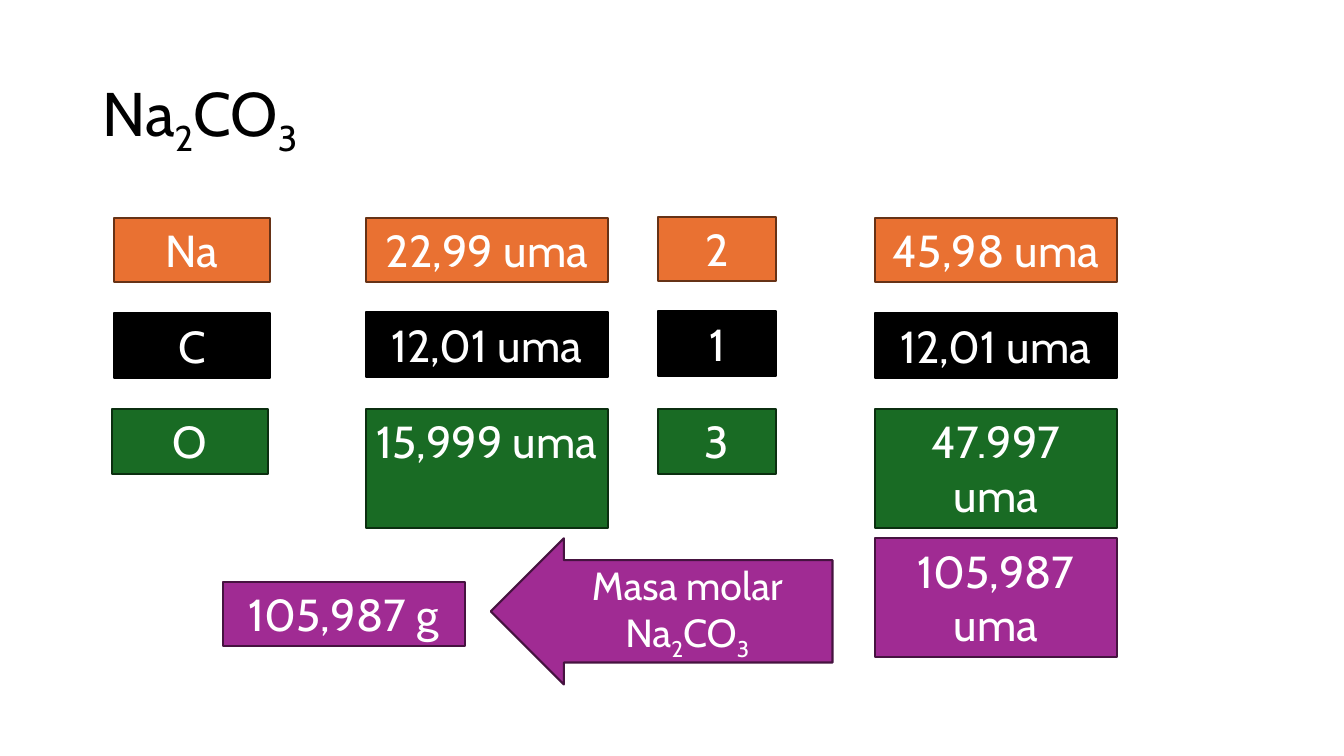
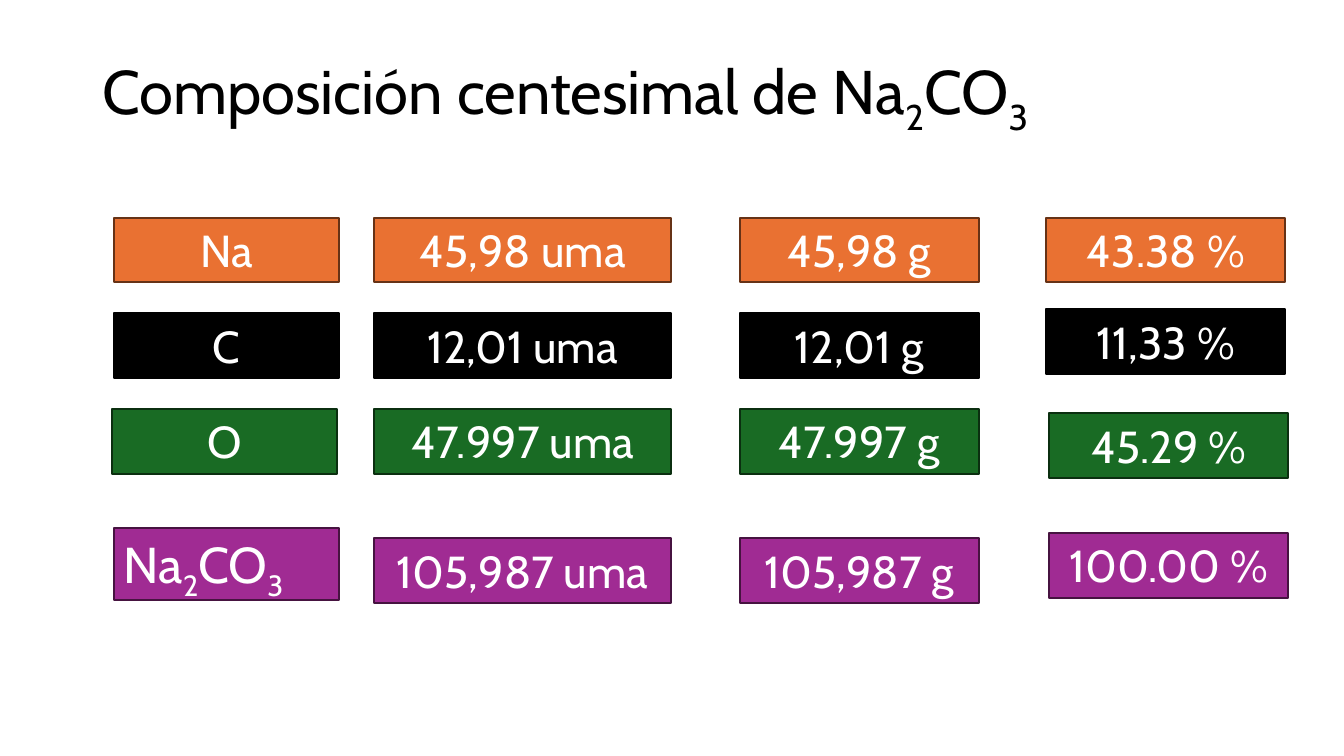
import pptx
import pptx.dml.color
import pptx.enum.shapes
import pptx.enum.text
import pptx.util

Pt = pptx.util.Pt
SHAPE = pptx.enum.shapes.MSO_SHAPE
ALIGN = pptx.enum.text.PP_ALIGN
ANCHOR = pptx.enum.text.MSO_ANCHOR
AUTO = pptx.enum.text.MSO_AUTO_SIZE


def rgb(hex_color):
    return pptx.dml.color.RGBColor.from_string(hex_color)


def write(tf, text, size=32, color="FFFFFF", align=ALIGN.CENTER,
          anchor=ANCHOR.TOP, spacing=None):
    """Write text into a frame; an underscore lowers the next character."""
    tf.word_wrap = True
    tf.vertical_anchor = anchor
    p = tf.paragraphs[0]
    p.alignment = align
    p.line_spacing = spacing
    first, *rest = text.split("_")
    pieces = [(first, False)]
    for part in rest:
        pieces += [(part[0], True), (part[1:], False)]
    for piece, lowered in pieces:
        if not piece:
            continue
        r = p.add_run()
        r.text = piece
        r.font.name = Deck.FONT
        r.font.size = Pt(size)
        r.font.color.rgb = rgb(color)
        if lowered:
            r.font._element.set("baseline", "-25000")


class Deck:
    FONT = "Cabin"
    ROW_H, TALL_H = 46.08, 84.8
    # Row: fill, outline, top
    ROWS = {
        "Na": ("E97132", "663216", 155.5),
        "C": ("000000", "000000", 223.9),
        "O": ("196B24", "0B2F10", 292.3),
        "total": ("A02B93", "461340", 384.5),
    }

    def __init__(self):
        self.prs = pptx.Presentation()
        self.prs.slide_width, self.prs.slide_height = Pt(960), Pt(540)
        self.s = None

    def slide(self, title, top):
        self.s = self.prs.slides.add_slide(self.prs.slide_layouts[6])
        sp = self.s.shapes.add_textbox(Pt(66), Pt(top), Pt(828), Pt(104.4))
        write(sp.text_frame, title, size=44, color="000000", align=ALIGN.LEFT,
              anchor=ANCHOR.MIDDLE, spacing=0.9)

    def shape(self, row, text, left, width, height=ROW_H, dx=0, dy=0,
              kind=SHAPE.RECTANGLE, **style):
        fill, line, top = self.ROWS[row]
        sp = self.s.shapes.add_shape(kind, Pt(left + dx), Pt(top + dy),
                                     Pt(width), Pt(height))
        sp.shadow.inherit = False
        sp.fill.solid()
        sp.fill.fore_color.rgb = rgb(fill)
        sp.line.color.rgb = rgb(line)
        sp.line.width = Pt(1.5)
        write(sp.text_frame, text, **style)
        if kind == SHAPE.RECTANGLE:
            sp.text_frame.auto_size = AUTO.SHAPE_TO_FIT_TEXT
        return sp

    def column(self, left, width, texts, **special):
        """Stack one box per row; special holds options for single rows."""
        for row, text in zip(self.ROWS, texts):
            self.shape(row, text, left, width, **special.get(row, {}))

    def arrow(self, row, text, left, width, height):
        sp = self.shape(row, text, left, width, height, kind=SHAPE.LEFT_ARROW,
                        size=28, anchor=ANCHOR.MIDDLE)
        sp.adjustments[0], sp.adjustments[1] = 0.7, 0.5


def main():
    deck = Deck()
    tall = {"height": Deck.TALL_H}

    # Molar mass
    deck.slide("Na_2CO_3", 28.8)
    deck.column(81.4, 111.6, ["Na", "C", "O"], O={"dx": -1.4})
    deck.column(261.4, 172.8, ["22,99 uma", "12,01 uma", "15,999 uma"],
                C={"dy": -0.7}, O=tall)
    deck.column(470.2, 84.2, ["2", "1", "3"], Na={"dy": -0.7}, C={"dy": -1.4})
    deck.column(625, 172.8,
                ["45,98 uma", "12,01 uma", "47.997 uma", "105,987 uma"],
                O=tall, total=tall)
    deck.arrow("total", "Masa molar Na_2CO_3", 350.6, 244.1, 104.4)
    deck.shape("total", "105,987 g", 159.1, 172.8, dy=31)

    # Percentage composition
    deck.slide("Composición centesimal de Na_2CO_3", 13.7)
    deck.column(81.4, 160.6, ["Na", "C", "O", "Na_2CO_3"], O={"dx": -1.4},
                total={"dy": -7.2, "height": 51.1, "size": 36,
                       "align": ALIGN.LEFT})
    masses = ["45,98", "12,01", "47.997", "105,987"]
    for left, width, unit in [(267.1, 212.4, "uma"), (528.5, 170.6, "g")]:
        deck.column(left, width, [f"{mass} {unit}" for mass in masses])
    deck.column(747.4, 170.6, ["43.38 %", "11,33 %", "45.29 %", "100.00 %"],
                C={"dy": -2.9}, O={"dx": 2.2, "dy": 2.9},
                total={"dx": 2.2, "dy": -3.6})

    deck.prs.save("out.pptx")


if __name__ == "__main__":
    main()
